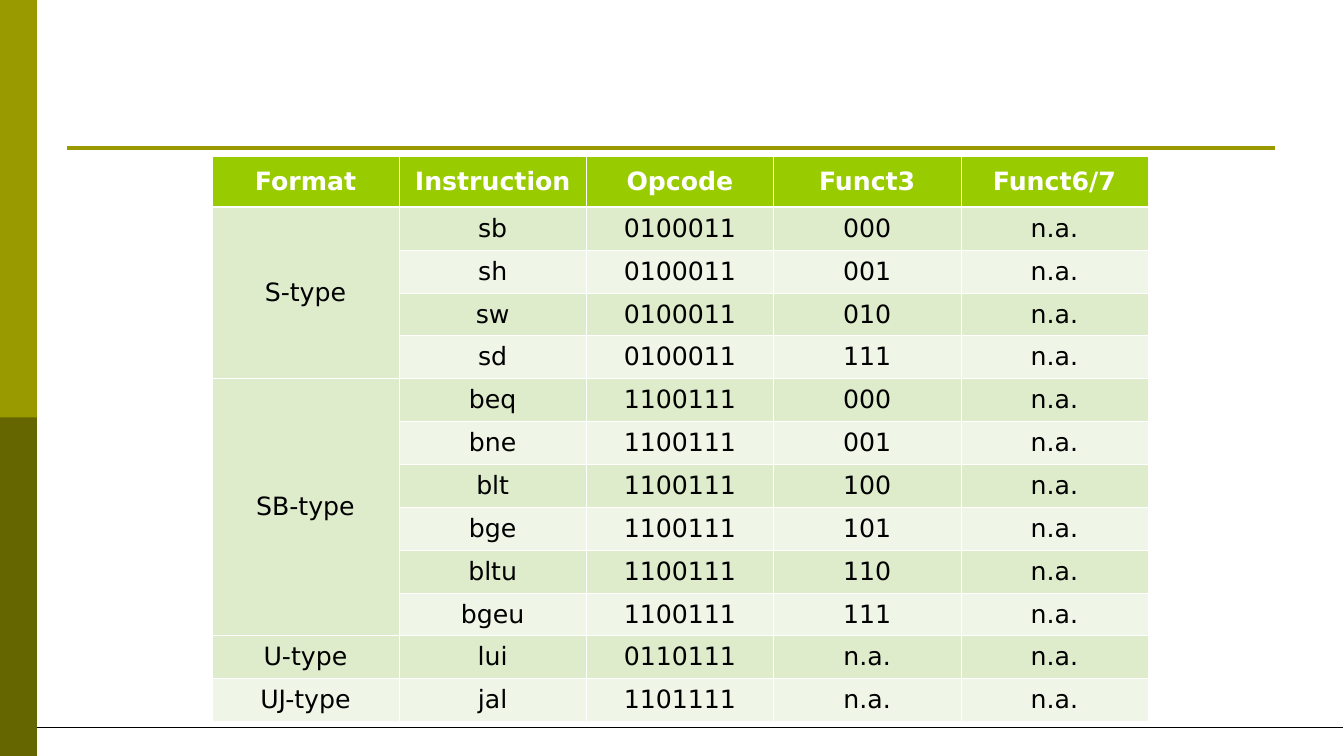
"""Build a slide with a table of instruction formats and their codes."""
from dataclasses import dataclass

from lxml import etree
from pptx import Presentation
from pptx.dml.color import RGBColor
from pptx.enum.shapes import MSO_CONNECTOR, MSO_SHAPE
from pptx.enum.text import MSO_ANCHOR, PP_ALIGN
from pptx.oxml.ns import qn
from pptx.util import Cm, Pt

RECT = MSO_SHAPE.RECTANGLE
LINE = MSO_CONNECTOR.STRAIGHT
CENTER = PP_ALIGN.CENTER
MIDDLE = MSO_ANCHOR.MIDDLE
BLANK = 6


@dataclass(frozen=True)
class Theme:
    font: str = "DejaVu Sans"
    size: float = 18
    olive: str = "999900"
    dark: str = "666600"
    head: str = "99CC00"
    bands: tuple = ("DEECCB", "EFF6E7")
    white: str = "FFFFFF"
    black: str = "000000"
    thin: float = 0.45
    thick: float = 1.47


THEME = Theme()
HEAD = ("Format", "Instruction", "Opcode", "Funct3", "Funct6/7")
NONE = "n.a."
GROUPS = (
    ("S-type", "0100011",
     (("sb", "000"), ("sh", "001"), ("sw", "010"), ("sd", "111"))),
    ("SB-type", "1100111",
     (("beq", "000"), ("bne", "001"), ("blt", "100"),
      ("bge", "101"), ("bltu", "110"), ("bgeu", "111"))),
    ("U-type", "0110111", (("lui", NONE),)),
    ("UJ-type", "1101111", (("jal", NONE),)),
)


def put_text(frame, text, color=THEME.black, bold=False):
    """Write centred text in a frame."""
    para = frame.paragraphs[0]
    para.alignment = CENTER
    run = para.add_run()
    run.text = text
    font = run.font
    font.name, font.size, font.bold = THEME.font, Pt(THEME.size), bold
    font.color.rgb = RGBColor.from_string(color)


def add_bar(slide, top, height, color):
    """Add a block of the left side bar."""
    bar = slide.shapes.add_shape(RECT, 0, Cm(top), Cm(0.93), Cm(height))
    bar.shadow.inherit = False
    bar.fill.solid()
    bar.fill.fore_color.rgb = RGBColor.from_string(color)
    bar.line.fill.background()


def add_rule(slide, left, right, y, color, width):
    """Add a level line."""
    rule = slide.shapes.add_connector(LINE, Cm(left), Cm(y), Cm(right), Cm(y))
    rule.line.color.rgb = RGBColor.from_string(color)
    rule.line.width = Pt(width)
    etree.SubElement(rule.element.spPr, qn("a:effectLst"))


def set_edge(cell, side, width):
    """Draw one white border of a cell."""
    props = cell._tc.get_or_add_tcPr()
    edge = etree.SubElement(props, qn(f"a:ln{side}"), w=str(Pt(width)))
    fill = etree.SubElement(edge, qn("a:solidFill"))
    etree.SubElement(fill, qn("a:srgbClr"), val=THEME.white)


def style_cell(cell, row):
    """Set the borders, fill and anchor of a cell for its row."""
    for side in "LRTB":
        heavy = (row, side) in ((0, "B"), (1, "T"))
        set_edge(cell, side, THEME.thick if heavy else THEME.thin)
    color = THEME.bands[(row - 1) % 2] if row else THEME.head
    cell.fill.solid()
    cell.fill.fore_color.rgb = RGBColor.from_string(color)
    cell.vertical_anchor = MIDDLE


def add_codes(slide):
    """Add the table of codes, one merged format cell per group."""
    count = 1 + sum(len(items) for _, _, items in GROUPS)
    grid = slide.shapes.add_table(
        count, len(HEAD), Cm(5.34), Cm(3.94), Cm(23.6), Cm(14.22)).table
    for col in grid.columns:
        col.width = Cm(4.72)
    for row, line in enumerate(grid.rows):
        line.height = Cm(1.08 if row else 1.28)
        for cell in line.cells:
            style_cell(cell, row)
    for col, name in enumerate(HEAD):
        put_text(grid.cell(0, col).text_frame, name, color=THEME.white, bold=True)
    row = 1
    for kind, code, items in GROUPS:
        first = grid.cell(row, 0)
        if len(items) > 1:
            first.merge(grid.cell(row + len(items) - 1, 0))
        put_text(first.text_frame, kind)
        for name, funct in items:
            for col, text in enumerate((name, code, funct, NONE), 1):
                put_text(grid.cell(row, col).text_frame, text)
            row += 1


def main():
    """Build and save the slide."""
    deck = Presentation()
    deck.slide_width, deck.slide_height = Cm(33.88), Cm(19.05)
    slide = deck.slides.add_slide(deck.slide_layouts[BLANK])
    add_bar(slide, 0, 11.91, THEME.olive)
    add_bar(slide, 10.52, 8.53, THEME.dark)
    add_rule(slide, 1.7, 32.13, 3.73, THEME.olive, 3)
    add_rule(slide, 0.93, 33.86, 18.33, THEME.black, 0.75)
    add_codes(slide)
    deck.save("out.pptx")


if __name__ == "__main__":
    main()
